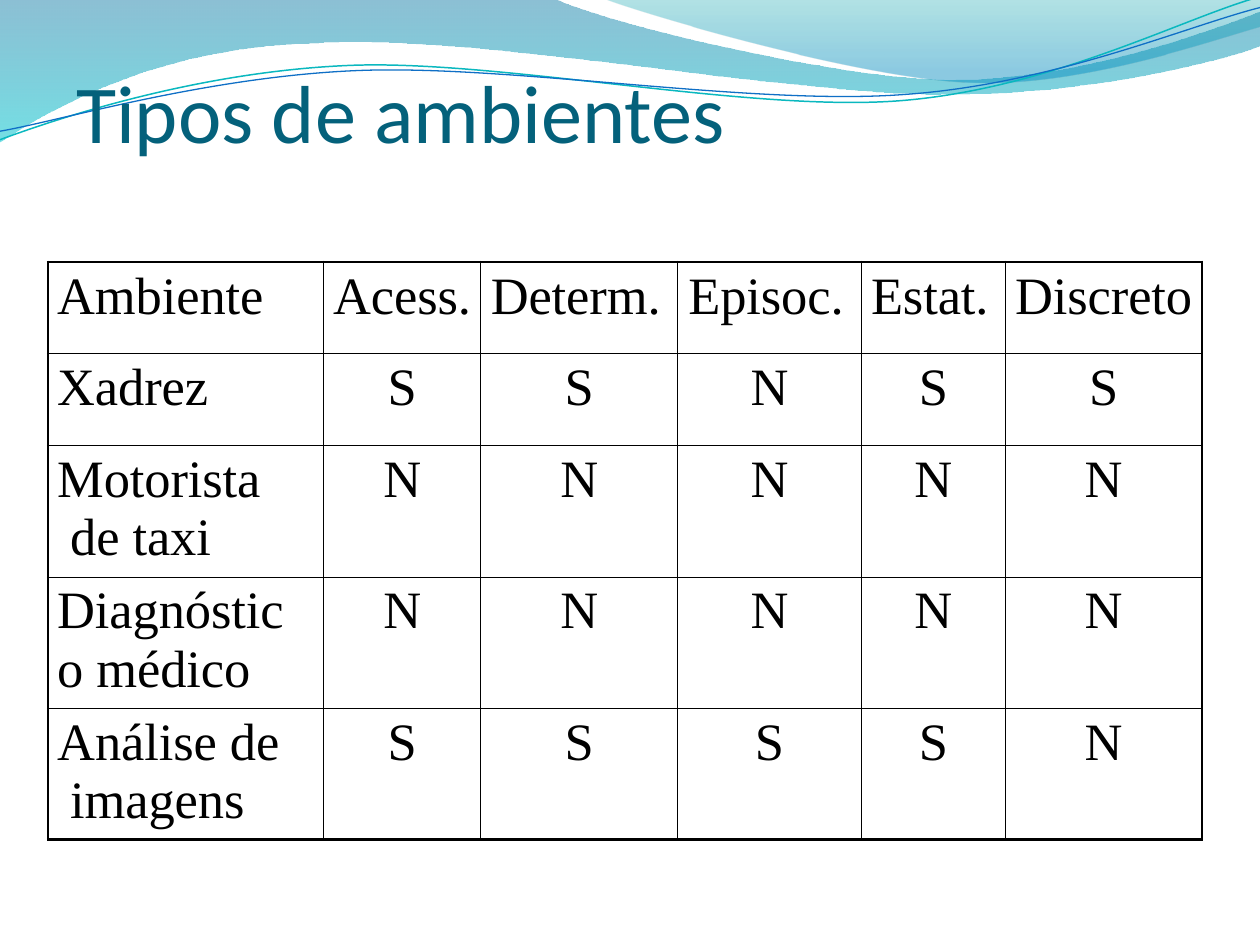
"""Build the "Tipos de ambientes" slide: wave header, title and environment table."""
from dataclasses import dataclass

from lxml.etree import SubElement
from pptx import Presentation
from pptx.dml.color import RGBColor
from pptx.enum.text import MSO_ANCHOR, PP_ALIGN
from pptx.oxml import parse_xml
from pptx.oxml.ns import nsdecls, qn
from pptx.util import Pt


@dataclass(frozen=True)
class Theme:
    title_color: str = "04617B"
    ink: str = "000000"
    title_font: str = "Calibri"
    table_font: str = "Times New Roman"
    title_size: float = 47
    table_size: float = 30
    broad_wave: tuple = ((0, "0074A1", 45), (1, "00C6CF", 55))
    right_wave: tuple = ((0, "00A1A9", 30), (0.8, "008BBF", 45))
    teal_curve: str = "0AB8BF"
    blue_curve: str = "0F6FC6"


def write(frame, text, *, font, size, color, align=PP_ALIGN.LEFT, margin=0, hang=0, spacing=0):
    frame.word_wrap = True
    paragraph = frame.paragraphs[0]
    paragraph.alignment = align
    properties = paragraph._p.get_or_add_pPr()
    properties.set("marL", str(Pt(margin + hang)))
    properties.set("indent", str(Pt(-hang)))
    run = paragraph.add_run()
    run.text = text
    run.font.name = font
    run.font.size = Pt(size)
    run.font.color.rgb = RGBColor.from_string(color)
    run._r.get_or_add_rPr().set("spc", str(round(spacing * 100)))


def draw_curve(shapes, start, segments, closed):
    builder = shapes.build_freeform(Pt(start[0]), Pt(start[1]))
    builder.add_line_segments([(Pt(x), Pt(y)) for segment in segments for x, y in segment], close=closed)
    curve = builder.convert_to_shape()
    curve.shadow.inherit = False
    strokes = iter(list(curve.element.iter(qn("a:lnTo"))))
    for segment in segments:
        bend, *rest = [next(strokes) for _ in segment]
        if rest:
            bend.tag = qn("a:cubicBezTo")
        for stroke in rest:
            bend.append(stroke[0])
            stroke.getparent().remove(stroke)
    return curve


theme = Theme()
presentation = Presentation()
presentation.slide_width, presentation.slide_height = Pt(720), Pt(540)
slide = presentation.slides.add_slide(presentation.slide_layouts[6])

waves = [
    (theme.broad_wave, (0, 0), [
        [(316.8, -0.7)],
        [(342.7, 12.2), (478.1, 45.4), (545.8, 45.4)],
        [(614.2, 45.4), (689.8, 18.7), (720, 6.5)],
        [(720.7, 25.9)],
        [(707.8, 31.7), (626.4, 54.7), (537.1, 54)],
        [(447.8, 54), (275, 20.2), (185, 24.5)],
        [(92.9, 25.9), (33.1, 59.8), (-0.7, 81.4)],
    ]),
    (theme.right_wave, (344.9, -0.7), [
        [(366.5, 7.9), (491, 44.6), (553.7, 46.8)],
        [(616.3, 49.7), (691.9, 23), (720, 15.1)],
        [(720, 0)],
    ]),
]
for stops, start, segments in waves:
    wave = draw_curve(slide.shapes, start, segments, closed=True)
    wave.line.fill.background()
    wave.fill.gradient()
    wave.fill.gradient_angle = 270
    for stop, (position, color, _) in zip(wave.fill.gradient_stops, stops):
        stop.position = position
        stop.color.rgb = RGBColor.from_string(color)
    for tint, (_, _, opacity) in zip(wave.element.iter(qn("a:srgbClr")), stops):
        SubElement(tint, qn("a:alpha")).set("val", str(opacity * 1000))

curves = [
    (theme.teal_curve, 0.85, (-1.4, 62.9), [
        [(33.8, 51.7), (114.1, 29.4), (199.8, 29.9)],
        [(284.8, 30.3), (425.8, 67.3), (512.4, 64.9)],
        [(599.1, 62.4), (676.4, 25.7), (720.2, 15.5)],
    ]),
    (theme.blue_curve, 0.75, (-1.1, 58), [
        [(32.9, 53.8), (118.3, 32.5), (204.1, 33)],
        [(290.6, 33.4), (428.9, 63.8), (515.5, 61.4)],
        [(601.3, 59.6), (678.4, 30.1), (721.4, 21.3)],
    ]),
]
for color, width, start, segments in curves:
    curve = draw_curve(slide.shapes, start, segments, closed=False)
    curve.rotation = 357.3
    curve.fill.background()
    curve.line.color.rgb = RGBColor.from_string(color)
    curve.line.width = Pt(width)

title = slide.shapes.add_textbox(Pt(42.5), Pt(33.1), Pt(436.3), Pt(58.3)).text_frame
title.margin_left = title.margin_right = title.margin_top = title.margin_bottom = 0
title.vertical_anchor = MSO_ANCHOR.BOTTOM
write(title, "Tipos de ambientes", font=theme.title_font, size=theme.title_size,
      color=theme.title_color, margin=1, spacing=-0.05)

environments = [
    ("Ambiente", "Acess.", "Determ.", "Episoc.", "Estat.", "Discreto"),
    ("Xadrez", *"SSNSS"),
    ("Motorista de taxi", *"NNNNN"),
    ("Diagnóstico médico", *"NNNNN"),
    ("Análise de imagens", *"SSSSN"),
]
hanging_rows = (2, 4)
column_widths = (157.5, 89.7, 112.6, 104.9, 82.4, 112.3)
row_heights = (52.6, 52.6, 75, 75, 75)
header_insets = (0, 0, 4, 4, 4, 0)
vertical_rules = (1.5, 1, 1, 1, 0.75, 1, 1.5)
horizontal_rules = (1.5, 0.75, 0.75, 0.75, 1, 1.5)

grid = slide.shapes.add_table(len(row_heights), len(column_widths), Pt(27.5), Pt(149.6),
                              Pt(sum(column_widths)), Pt(sum(row_heights))).table
grid.first_row = grid.horz_banding = False
for column, width in zip(grid.columns, column_widths):
    column.width = Pt(width)
for row, height in zip(grid.rows, row_heights):
    row.height = Pt(height)

for r, environment in enumerate(environments):
    for c, answer in enumerate(environment):
        cell = grid.cell(r, c)
        cell.fill.background()
        cell.margin_left = cell.margin_bottom = 0
        cell.margin_right = Pt(12 if c == 0 else header_insets[c] if r == 0 else 0)
        cell.margin_top = Pt(3.6 if r == 0 else 2.9)
        write(cell.text_frame, answer, font=theme.table_font, size=theme.table_size, color=theme.ink,
              align=PP_ALIGN.CENTER if c else PP_ALIGN.LEFT, margin=0 if c else 5.2,
              hang=7.4 if c == 0 and r in hanging_rows else 0,
              spacing=-0.05 if r == 0 or c == 0 else 0)
        rules = {"lnL": vertical_rules[c], "lnR": vertical_rules[c + 1],
                 "lnT": horizontal_rules[r], "lnB": horizontal_rules[r + 1]}
        for order, (side, width) in enumerate(rules.items()):
            cell._tc.tcPr.insert(order, parse_xml(
                f'<a:{side} {nsdecls("a")} w="{Pt(width)}"><a:solidFill>'
                f'<a:srgbClr val="{theme.ink}"/></a:solidFill></a:{side}>'))

presentation.save("out.pptx")
